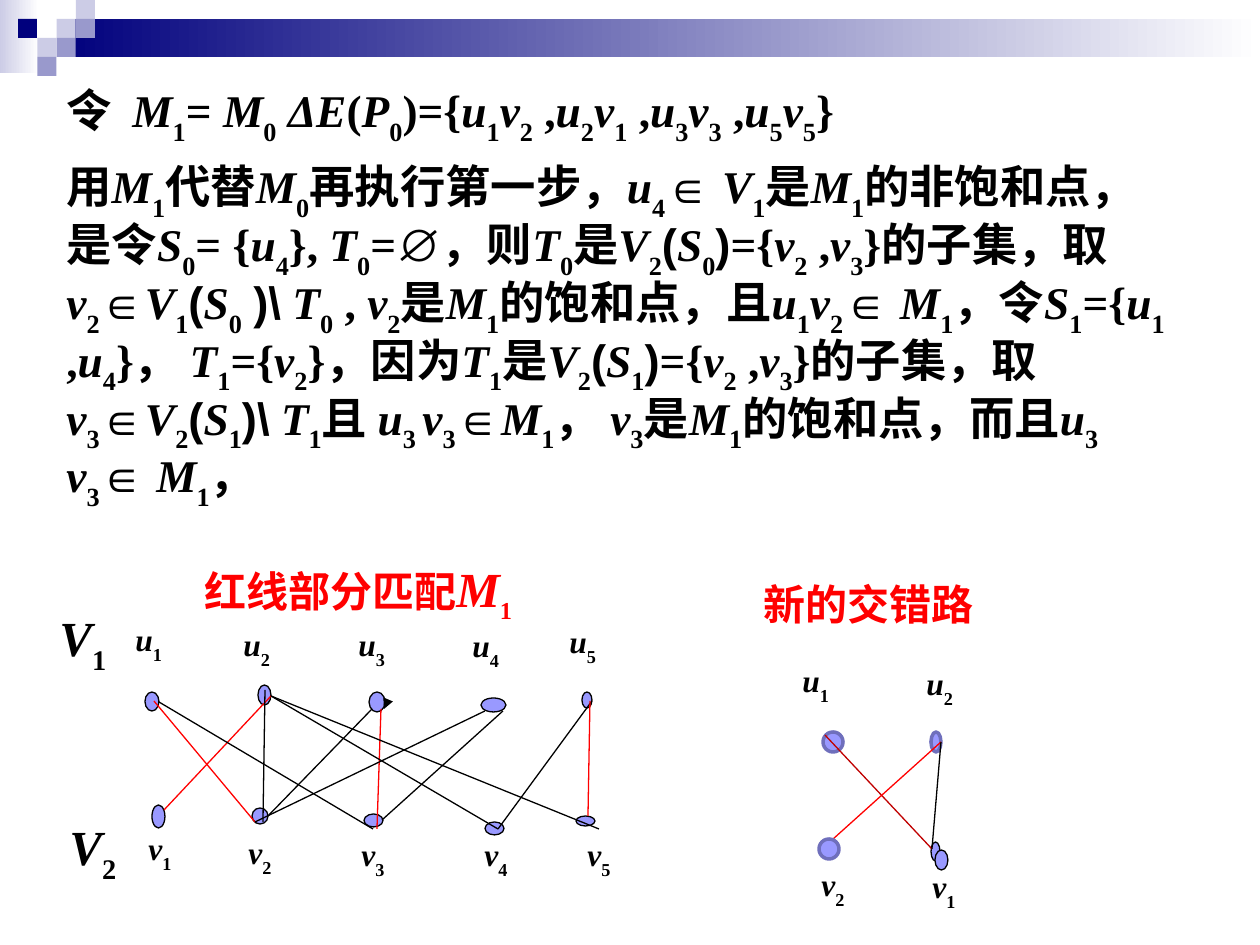
from itertools import groupby

from lxml import etree
from pptx import Presentation
from pptx.dml.color import RGBColor
from pptx.enum import shapes, text
from pptx.oxml import ns
from pptx import util as u

SCALE = 914400 / 126
COLORS = {
    "navy": "00007D", "lilac": "CCCCE6", "violet": "9999CC", "white": "FFFFFF",
    "black": "000000", "red": "FF0000", "dark_red": "C00000",
    "node": "9999FF", "ring": "6F6FBC",
}
LABEL_FORMATS = {"u": (52, 58, 18), "v": (48, 58, 18), "V": (72, 82, 28)}
FORMULA = "令  M<1>= M<0> ΔE(P<0>)={u<1>v<2> ,u<2>v<1> ,u<3>v<3> ,u<5>v<5>}"
ARGUMENT = (
    "用M<1>代替M<0>再执行第一步，u<4>∈ V<1>是M<1>的非饱和点，[是]令S<0>= {u<4>}, "
    "T<0>=[∅，则]T<0>是V<2>[(]S<0>[)]={v<2> ,v<3>}[的子集，取]v<2>[∈]V<1>[(]S<0> [)\\] T<0>"
    " , v<2>[是]M<1>[的饱和点]，且u<1>v<2>∈ M<1>，令S<1>={u<1> ,u<4>}， T<1>={v<2>}，"
    "[因为]T<1>[是]V<2>[(]S<1>[)]={v<2> ,v<3>}[的子集，取]v<3>[∈]V<2>[(]S<1>[)\\] T<1>"
    "[且 ]u<3 >v<3>[∈]M<1>[， ]v<3>[是]M<1>[的饱和点，而且]u<3> v<3>[∈] M<1>[，]"
)


def px(value):
    """Turn a length in px into EMU."""
    return u.Emu(round(value * SCALE))


def color(name):
    """Return the named colour."""
    return RGBColor.from_string(COLORS[name])


def styled_chars(markup):
    """Yield characters with font, italic and subscript; <> lowers and [] sets Arial."""
    font, lowered = "Times New Roman", False
    for char in markup:
        if char in "<>":
            lowered = char == "<"
        elif char in "[]":
            font = "Arial" if char == "[" else "Times New Roman"
        else:
            yield char, (font, char == "Δ" or char.isascii() and char.isalpha(), lowered)


def write(para, markup, size, ink="black", sizes=None):
    """Write marked-up mathematics into a paragraph."""
    for style, chars in groupby(styled_chars(markup), key=lambda item: item[1]):
        name, italic, lowered = style
        span = para.add_run()
        span.text = "".join(char for char, _ in chars)
        span_size = sizes.get(span.text, size) if sizes else size
        values = {"name": name, "italic": italic, "bold": True, "size": u.Pt(span_size)}
        for key, value in values.items():
            setattr(span.font, key, value)
        span.font.color.rgb = color(ink)
        if lowered:
            span.font._element.set("baseline", "-30000")


def add_label(page, box, markup, size, ink="black", sizes=None):
    """Place one unwrapped line of text."""
    frame = page.shapes.add_textbox(*map(px, box)).text_frame
    frame.word_wrap = False
    frame.auto_size = text.MSO_AUTO_SIZE.SHAPE_TO_FIT_TEXT
    write(frame.paragraphs[0], markup, size, ink, sizes)


def add_block(page, box, fills):
    """Place a rectangle filled with one colour or a gradient of two."""
    block = page.shapes.add_shape(shapes.MSO_SHAPE.RECTANGLE, *map(px, box))
    block.shadow.inherit = False
    block.line.fill.background()
    if len(fills) == 1:
        block.fill.solid()
        block.fill.fore_color.rgb = color(fills[0])
        return
    block.fill.gradient()
    block.fill.gradient_angle = 0
    for stop, name in zip(block.fill.gradient_stops, fills):
        stop.color.rgb = color(name)


def add_node(page, box, ringed=False):
    """Place one vertex of a graph."""
    node = page.shapes.add_shape(shapes.MSO_SHAPE.OVAL, *map(px, box))
    node.shadow.inherit = False
    node.fill.solid()
    node.fill.fore_color.rgb = color("node")
    node.line.color.rgb = color("ring" if ringed else "black")
    node.line.width = u.Pt(2 if ringed else 0.75)


def add_edge(page, start, end, ink="black", arrow=False):
    """Draw one straight edge of a graph."""
    edge = page.shapes.add_connector(
        shapes.MSO_CONNECTOR.STRAIGHT, *map(px, (*start, *end)))
    edge.line.color.rgb = color(ink)
    edge.line.width = u.Pt(0.75)
    if arrow:
        etree.SubElement(edge.line._get_or_add_ln(), ns.qn("a:tailEnd"), type="triangle")
    etree.SubElement(edge._element.spPr, ns.qn("a:effectLst"))


def add_header(page, box):
    """Build the gradient band and its checkered corner."""
    left, top, width, height = box
    add_block(page, (left, top, 39, height - 3), ("lilac", "white"))
    add_block(page, (left + 57, top + 19, width - 57, 38), ("navy", "white"))
    squares = [(2, 1, "lilac"), (3, 0, "lilac"), (3, 1, "violet"), (1, 2, "lilac"),
               (0, 1, "navy"), (2, 2, "violet"), (1, 3, "violet")]
    for column, row, fill in squares:
        add_block(page, (left + 18 + 19.3 * column, top + 19 * row, 19, 19), (fill,))


def add_body(page, box):
    """Build the two paragraphs of the argument."""
    frame = page.shapes.add_textbox(*map(px, box)).text_frame
    frame.word_wrap = True
    write(frame.paragraphs[0], FORMULA, 25.9)
    para = frame.add_paragraph()
    para.space_before = u.Pt(7)
    para.line_spacing = 0.9
    write(para, ARGUMENT, 25.9)


def add_graph(page, box, caption, nodes, labels, edges, front_nodes=()):
    """Build a captioned graph from parts placed relative to its box."""
    left, top = box[:2]

    def moved(x, y, *rest):
        """Shift a point or box by the corner of the graph."""
        return (left + x, top + y, *rest)

    caption_box, markup, sizes = caption
    add_label(page, moved(*caption_box), markup, 24, "red", sizes)
    for node, ringed in nodes:
        add_node(page, moved(*node), ringed)
    for name, x, y in labels:
        width, height, size = LABEL_FORMATS[name[0]]
        add_label(page, moved(x, y, width, height), f"{name[0]}<{name[1]}>", size)
    for start, end, *style in edges:
        add_edge(page, moved(*start), moved(*end), *style)
    for node, ringed in front_nodes:
        add_node(page, moved(*node), ringed)


def add_matching(page, box):
    """Build the bipartite graph with its matching in red."""
    nodes = [(218, 135, 13, 20), (105, 142, 14, 19), (329, 142, 16, 20),
             (441, 148, 25, 14), (542, 142, 10, 16), (112, 255, 13, 23),
             (212, 258, 16, 16), (324, 264, 19, 13), (445, 272, 19, 13),
             (536, 266, 19, 10)]
    labels = [("u1", 83, 64), ("u2", 191, 69), ("u3", 306, 69), ("u4", 420, 70),
              ("u5", 517, 66), ("v1", 96, 273), ("v2", 196, 277), ("v3", 309, 279),
              ("v4", 432, 279), ("v5", 535, 279), ("V1", 7, 51), ("V2", 17, 260)]
    u2, v2, v4 = (231, 146), (215, 272), (458, 279)
    edges = [((347, 152), (344, 159), "black", True),
             ((114, 151), v2, "red"), (u2, (124, 260), "red"),
             ((225, 140), (223, 272)), ((119, 152), (333, 279)),
             ((332, 159), (228, 266)), ((341, 159), (337, 279), "red"),
             ((445, 161), v2), ((463, 161), (342, 270)), ((552, 151), v4),
             (u2, (559, 279)), ((550, 151), (548, 266), "red"), (u2, v4)]
    caption = ((152, 2, 343, 79), "红线部分匹配M<1>", {"M": 28})
    add_graph(page, box, caption, [(node, False) for node in nodes], labels, edges)


def add_alternating_path(page, box):
    """Build the small graph of the new alternating path."""
    nodes = [((191, 282, 9, 19), False), ((195, 290, 13, 20), False),
             ((83, 172, 20, 20), True), ((191, 172, 10, 20), True)]
    labels = [("u1", 50, 95), ("u2", 174, 98), ("v1", 180, 301), ("v2", 69, 299)]
    u2, v1 = (201, 182), (192, 289)
    edges = [((85, 175), v1, "dark_red"), (u2, (82, 289), "red"), (u2, v1)]
    caption = ((11, 12, 240, 63), "新的交错路", None)
    add_graph(page, box, caption, nodes, labels, edges, [((79, 279, 20, 20), True)])


def main():
    """Build and save the deck."""
    deck = Presentation()
    deck.slide_width, deck.slide_height = px(1260), px(945)
    page = deck.slides.add_slide(deck.slide_layouts[6])
    add_header(page, (0, 0, 1260, 76))
    add_body(page, (54, 76, 1131, 481))
    add_matching(page, (40, 550, 600, 350))
    add_alternating_path(page, (740, 560, 260, 360))
    deck.save("out.pptx")


if __name__ == "__main__":
    main()
